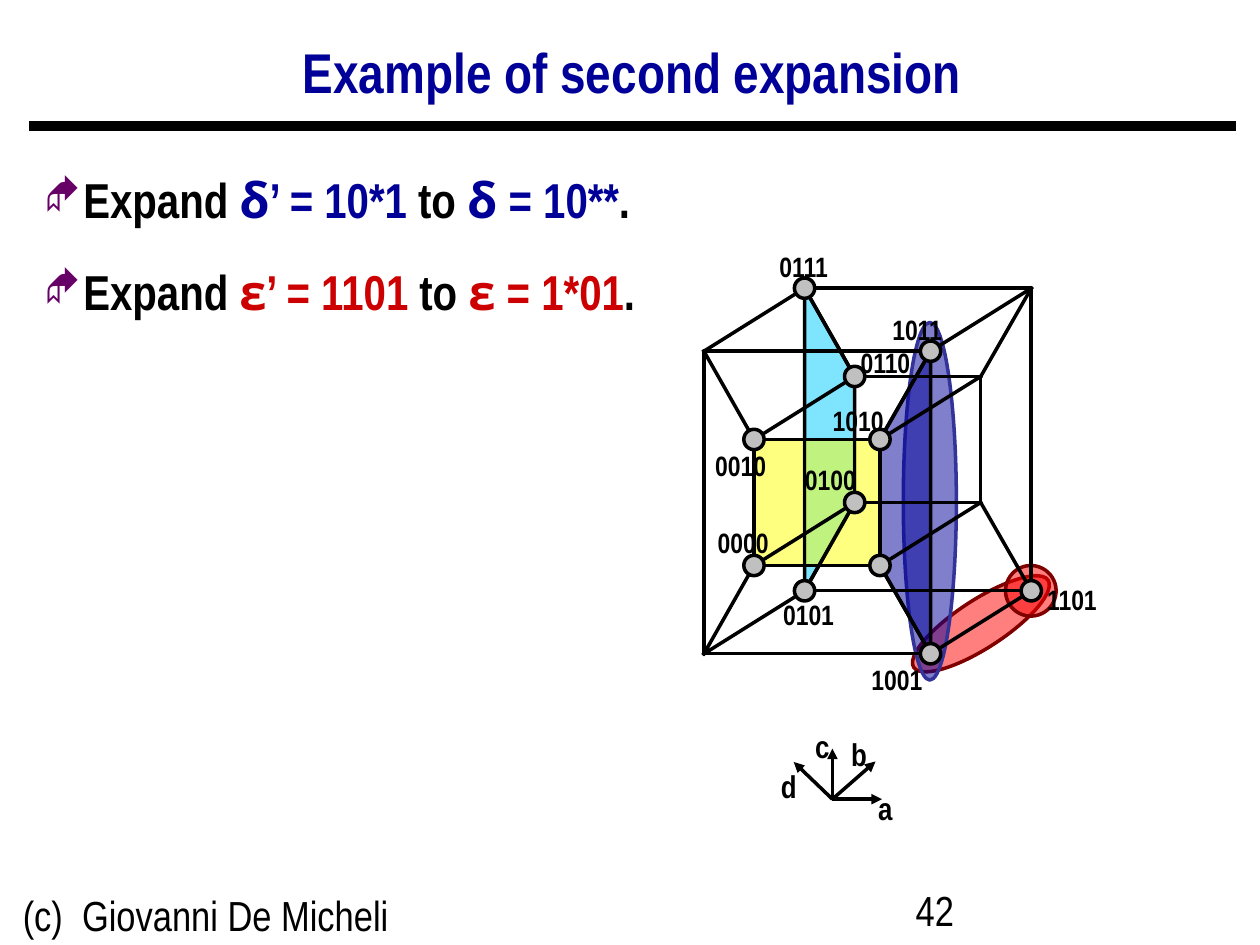
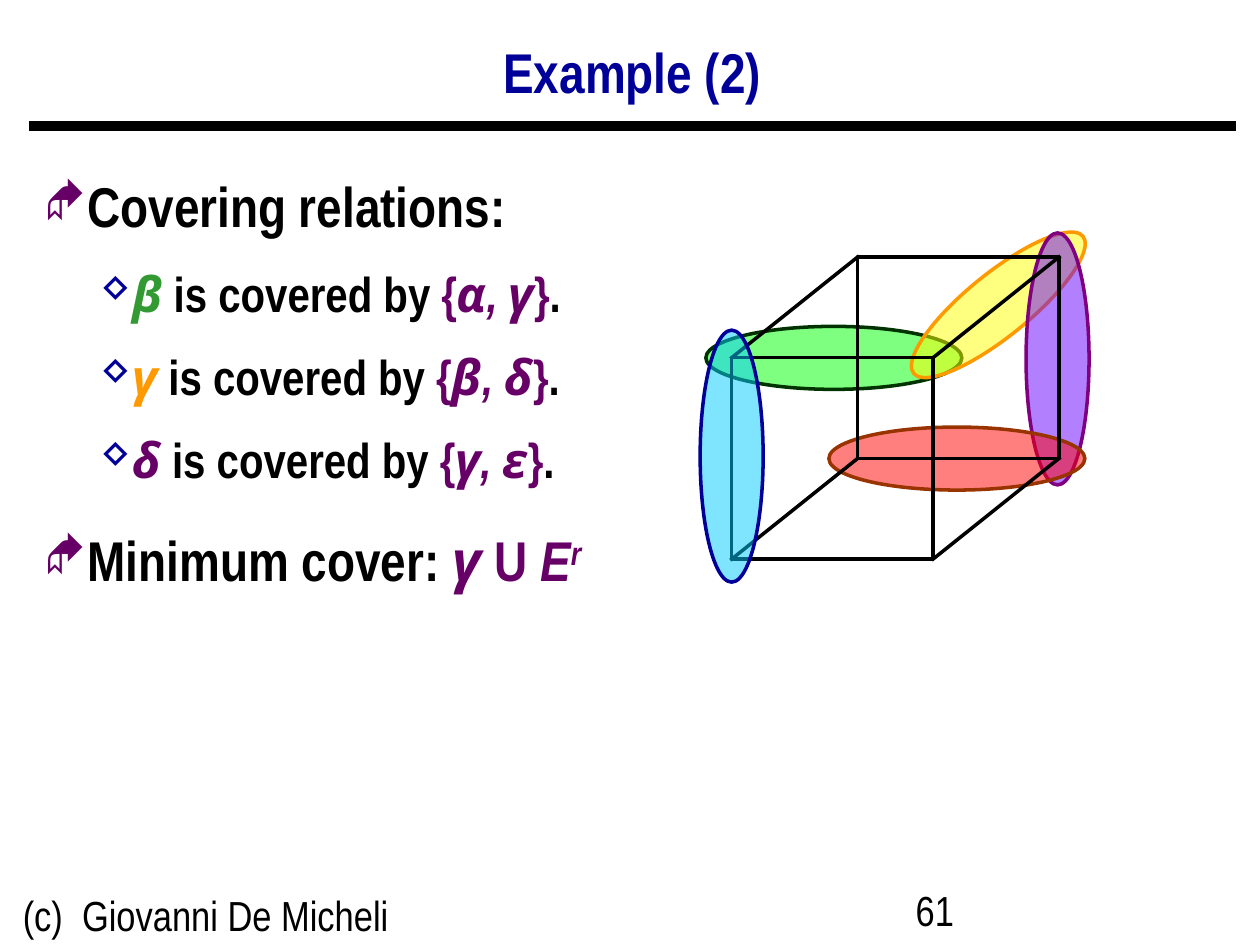
from dataclasses import dataclass
from itertools import product
from typing import NamedTuple

from lxml.etree import SubElement
from pptx import Presentation
from pptx.dml.color import RGBColor as RGB
from pptx.enum.shapes import MSO_CONNECTOR as CONN, MSO_SHAPE as SHAPE
from pptx.enum.text import MSO_ANCHOR as ANCHOR, MSO_AUTO_SIZE as AUTO, PP_ALIGN as ALIGN
from pptx.oxml.ns import qn
from pptx.util import Cm, Pt


@dataclass(frozen=True)
class Theme:
    font: str = "Arial Narrow"
    symbols: str = "Noto Sans"
    bullets: str = "Wingdings"
    black: str = "000000"
    navy: str = "000099"
    plum: str = "660066"
    crimson: str = "CC0000"
    green: str = "339933"
    orange: str = "FF9900"
    red: str = "FF0000"
    yellow: str = "FFFF00"
    cyan: str = "00CCFF"
    node: str = "C0C0C0"
    title: int = 32
    large: int = 32
    body: int = 28
    footer: int = 24
    axis: int = 18
    label: int = 16
    line: float = 2
    rule: float = 6


T = Theme()


class Run(NamedTuple):
    text: str
    color: str = T.black
    font: str = T.font
    italic: bool = False
    raised: bool = False


class Level(NamedTuple):
    mark: str
    color: str
    scale: int
    margin: float
    hang: float
    spacing: float


class Item(NamedTuple):
    level: Level
    size: int
    before: float
    runs: list[Run]


class Label(NamedTuple):
    text: str
    x: float
    y: float


class Axis(NamedTuple):
    label: Label
    tip: tuple[float, float]


class Oval(NamedTuple):
    x: float
    y: float
    w: float
    h: float
    fill: str
    line: str
    turn: float = 0


@dataclass(frozen=True)
class Cuboid:
    x: float
    bottom: float
    w: float
    h: float
    shift: tuple[float, float]

    def vertex(self, a: int, b: int, c: int) -> tuple[float, float]:
        dx, dy = self.shift
        return self.x + a * self.w + b * dx, self.bottom - c * self.h + b * dy


DIAMOND = Level("◆", T.plum, 85, 0.79, 0.79, 1.25)
TRIANGLE = Level("▲", T.navy, 75, 1.75, 0.64, 1.1)

INNER = Cuboid(15.2, 11.4, 2.54, 2.54, (2.03, -1.27))
OUTER = Cuboid(14.19, 13.18, 4.57, 6.1, (2.03, -1.27))
CUBE = Cuboid(14.75, 11.27, 4.06, 4.06, (2.54, -2.03))

FACES = [
    (("0101", "0100", "0110", "0111"), T.cyan),
    (("0000", "0010", "1010", "1000"), T.yellow),
    (("1011", "1010", "1000", "1001"), T.navy),
]
NODES = ["0110", "0010", "0000", "0100", "1010", "1000", "0111", "0101", "1011", "1001", "1101"]
NODE_SIZE = 0.41
NODE_LABELS = [
    Label("1001", 17.28, 13.23), Label("0111", 15.4, 4.91), Label("1011", 17.69, 6.17),
    Label("0110", 17.05, 6.84), Label("0010", 14.13, 8.92), Label("0000", 14.18, 10.46),
    Label("0101", 15.5, 11.92), Label("1101", 20.81, 11.61), Label("0100", 15.94, 9.2),
    Label("1010", 16.5, 8.01),
]
ORIGIN = (16.78, 16.11)
AXES = [
    Axis(Label("a", 17.45, 15.78), (17.78, 16.11)),
    Axis(Label("b", 16.91, 14.69), (17.65, 15.35)),
    Axis(Label("c", 16.18, 14.53), (16.78, 15.09)),
    Axis(Label("d", 15.49, 15.34), (16, 15.36)),
]
EXPANDED = [
    Oval(18.16, 12.09, 3.23, 0.97, T.red, "800000", 327),
    Oval(18.21, 6.5, 1.07, 7.21, T.navy, "333399"),
    Oval(20.27, 11.4, 1.02, 1.02, T.red, "800000", 327),
]
IMPLICANTS = [
    Oval(14.23, 6.58, 5.16, 1.27, "00FF00", "003300"),
    Oval(17.93, 5.51, 4.39, 1.27, T.yellow, T.orange, 321),
    Oval(18.78, 6.6, 5.08, 1.27, "6600FF", "800080", 270),
    Oval(16.71, 8.61, 5.16, 1.27, T.red, "993300"),
]
ALPHA_OVAL = Oval(12.21, 8.56, 5.08, 1.27, T.cyan, T.navy, 270)


def greek(text: str, color: str, italic: bool = False) -> Run:
    return Run(text, color, T.symbols, italic)


def add_run(p, run: Run, size: float, bold: bool) -> None:
    r = p.add_run()
    r.text = run.text
    f = r.font
    f.name, f.size, f.bold, f.italic = run.font, Pt(size), bold, run.italic
    f.color.rgb = RGB.from_string(run.color)
    if run.raised:
        r._r.get_or_add_rPr().set("baseline", "30000")


def add_box(slide, x: float, y: float, w: float, h: float):
    tf = slide.shapes.add_textbox(Cm(x), Cm(y), Cm(w), Cm(h)).text_frame
    tf.word_wrap = True
    return tf


def add_text(slide, text: str, x: float, y: float, w: float, h: float, *, size: float,
             color: str = T.black, bold: bool = False, align=ALIGN.LEFT, anchor=ANCHOR.TOP,
             spacing: float = 1, wrap: bool = True) -> None:
    tf = add_box(slide, x, y, w, h)
    tf.vertical_anchor = anchor
    if not wrap:
        tf.word_wrap = False
        tf.auto_size = AUTO.SHAPE_TO_FIT_TEXT
    p = tf.paragraphs[0]
    p.alignment, p.line_spacing = align, spacing
    add_run(p, Run(text, color), size, bold)


def add_label(slide, label: Label, w: float, h: float, size: float) -> None:
    add_text(slide, *label, w, h, size=size, bold=True, align=ALIGN.CENTER, wrap=False)


def add_bullet(p, level: Level) -> None:
    pPr = p._p.get_or_add_pPr()
    pPr.set("marL", str(Cm(level.margin)))
    pPr.set("indent", str(-Cm(level.hang)))
    color = SubElement(pPr, qn("a:buClr"))
    SubElement(color, qn("a:srgbClr"), val=level.color)
    SubElement(pPr, qn("a:buSzPct"), val=str(level.scale * 1000))
    SubElement(pPr, qn("a:buFont"), typeface=T.bullets, charset="2")
    SubElement(pPr, qn("a:buChar"), char=level.mark)


def add_items(slide, items: list[Item]) -> None:
    tf = add_box(slide, 0.64, 3, 24.16, 14.45)
    for i, item in enumerate(items):
        p = tf.add_paragraph() if i else tf.paragraphs[0]
        add_bullet(p, item.level)
        p.level = 1 if item.level is TRIANGLE else 0
        p.line_spacing = item.level.spacing
        p.space_before = Pt(item.before if i else 0)
        for run in item.runs:
            add_run(p, run, item.size, bold=True)


def paint(sp, fill: str | None, line: str = T.black, clear: bool = False) -> None:
    sp.shadow.inherit = False
    sp.line.color.rgb = RGB.from_string(line)
    sp.line.width = Pt(T.line)
    if fill is None:
        sp.fill.background()
        return
    sp.fill.solid()
    sp.fill.fore_color.rgb = RGB.from_string(fill)
    if clear:
        color = sp._element.spPr.find(qn("a:solidFill")).find(qn("a:srgbClr"))
        SubElement(color, qn("a:alpha"), val="50000")


def add_preset(slide, kind, x: float, y: float, w: float, h: float):
    return slide.shapes.add_shape(kind, Cm(x), Cm(y), Cm(w), Cm(h))


def add_oval(slide, oval: Oval) -> None:
    sp = add_preset(slide, SHAPE.OVAL, oval.x, oval.y, oval.w, oval.h)
    sp.rotation = oval.turn
    paint(sp, oval.fill, oval.line, clear=True)


def add_line(slide, start: tuple[float, float], end: tuple[float, float], *,
             width: float = T.line, arrow: bool = False) -> None:
    c = slide.shapes.add_connector(CONN.STRAIGHT, *map(Cm, start + end))
    c.line.color.rgb = RGB.from_string(T.black)
    c.line.width = Pt(width)
    spPr = c._element.spPr
    ln = spPr.find(qn("a:ln"))
    if arrow:
        SubElement(ln, qn("a:tailEnd"), type="triangle")
    else:
        ln.set("cap", "sq")
    SubElement(spPr, qn("a:effectLst"))


def add_cuboid(slide, cube: Cuboid) -> None:
    for b in (0, 1):
        paint(add_preset(slide, SHAPE.RECTANGLE, *cube.vertex(0, b, 1), cube.w, cube.h), None)
    for a, c in product((0, 1), repeat=2):
        add_line(slide, cube.vertex(a, 0, c), cube.vertex(a, 1, c))


def place(code: str) -> tuple[float, float]:
    a, b, c, d = map(int, code)
    return (OUTER if d else INNER).vertex(a, b, c)


def add_face(slide, codes: tuple[str, ...], fill: str) -> None:
    points = [tuple(map(Cm, place(code))) for code in codes]
    fb = slide.shapes.build_freeform(*points[0])
    fb.add_line_segments(points[1:], close=True)
    paint(fb.convert_to_shape(), fill, clear=True)


def add_base(prs, title: str, number: str):
    slide = prs.slides.add_slide(prs.slide_layouts[6])
    add_line(slide, (0.69, 2.54), (24.82, 2.54), width=T.rule)
    add_text(slide, "(c)  Giovanni De Micheli", 0.21, 17.81, 8.03, 1.32, size=T.footer)
    add_text(slide, number, 18.21, 17.7, 5.92, 1.32, size=T.footer)
    add_text(slide, title, 0.67, 0.56, 24.16, 1.9, size=T.title, color=T.navy, bold=True,
             align=ALIGN.CENTER, anchor=ANCHOR.MIDDLE, spacing=0.9)
    return slide


def expansion(symbol: str, old: str, new: str, color: str) -> Item:
    return Item(DIAMOND, T.body, 10.5, [
        Run("Expand "), greek(symbol, color), Run(f"’ = {old}", color), Run(" to "),
        greek(symbol, color), Run(f" = {new}", color), Run(".")])


def covering(symbol: str, color: str, first: str, second: str) -> Item:
    return Item(TRIANGLE, T.body, 10.5, [
        greek(symbol, color, True), Run(" is covered by "), Run("{", T.plum),
        greek(first, T.plum, True), Run(", ", T.plum, italic=True),
        greek(second, T.plum, True), Run("}", T.plum), Run(".")])


def expansion_slide(prs) -> None:
    slide = add_base(prs, "Example of second expansion", "42")
    for oval in EXPANDED:
        add_oval(slide, oval)
    add_items(slide, [expansion("δ", "10*1", "10**", T.navy),
                      expansion("ε", "1101", "1*01", T.crimson)])
    for axis in AXES:
        add_line(slide, ORIGIN, axis.tip, arrow=True)
        add_label(slide, axis.label, 0.8, 1.02, T.axis)
    for codes, fill in FACES:
        add_face(slide, codes, fill)
    for cube in (INNER, OUTER):
        add_cuboid(slide, cube)
    for corner in product((0, 1), repeat=3):
        add_line(slide, INNER.vertex(*corner), OUTER.vertex(*corner))
    for label in NODE_LABELS:
        add_label(slide, label, 1.6, 0.94, T.label)
    for code in NODES:
        x, y = place(code)
        half = NODE_SIZE / 2
        paint(add_preset(slide, SHAPE.OVAL, x - half, y - half, NODE_SIZE, NODE_SIZE), T.node)


def covering_slide(prs) -> None:
    slide = add_base(prs, "Example (2)", "61")
    add_items(slide, [
        Item(DIAMOND, T.large, 12, [Run("Covering relations:")]),
        covering("β", T.green, "α", "γ"),
        covering("γ", T.orange, "β", "δ"),
        covering("δ", T.plum, "γ", "ε"),
        Item(DIAMOND, T.large, 12, [
            Run("Minimum cover: "), greek("γ", T.plum, True), Run(" U ", T.plum),
            Run("E", T.plum, italic=True), Run("r", T.plum, italic=True, raised=True)]),
    ])
    for oval in IMPLICANTS:
        add_oval(slide, oval)
    add_cuboid(slide, CUBE)
    add_oval(slide, ALPHA_OVAL)


def main() -> None:
    prs = Presentation()
    prs.slide_width, prs.slide_height = Cm(25.4), Cm(19.05)
    expansion_slide(prs)
    covering_slide(prs)
    prs.save("out.pptx")


if __name__ == "__main__":
    main()
